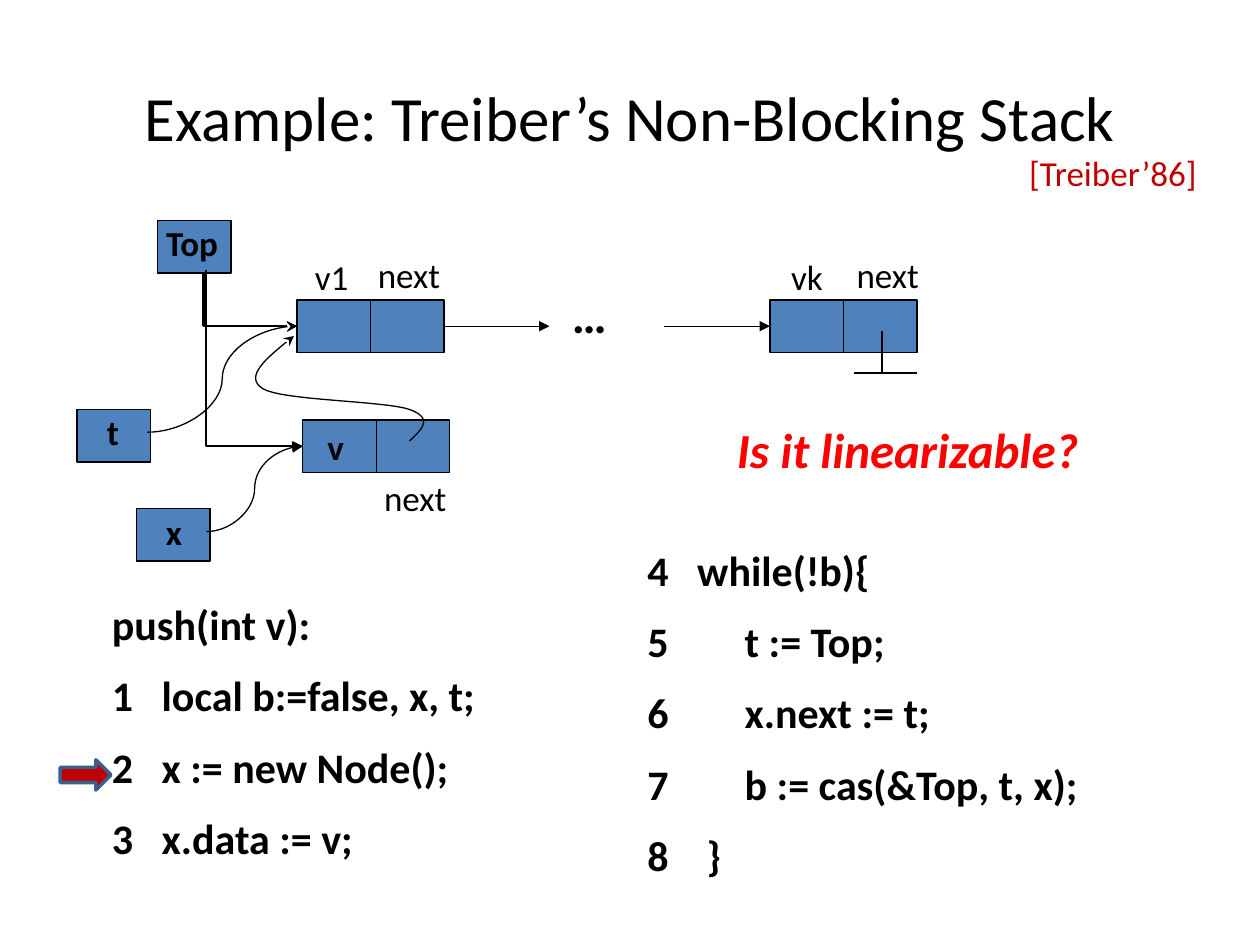
"""Build the slide on Treiber's non-blocking stack."""
from lxml.etree import SubElement
from pptx import Presentation
from pptx.dml.color import RGBColor
from pptx.enum.shapes import MSO_CONNECTOR, MSO_SHAPE
from pptx.enum.text import MSO_ANCHOR, PP_ALIGN
from pptx.oxml.ns import qn
from pptx.util import Pt

COLORS = {"black": "000000", "node": "4F81BD", "dark_red": "C00000",
          "red": "FF0000", "arrow_edge": "3A5F8C"}


def add_text(left, top, width, height, lines, color="black", wrap=True, **font_format):
    box = slide.shapes.add_textbox(Pt(left), Pt(top), Pt(width), Pt(height))
    box.text_frame.word_wrap = wrap
    for index, line in enumerate(lines):
        para = box.text_frame.paragraphs[0] if index == 0 else box.text_frame.add_paragraph()
        if index:
            para.space_before = Pt(12)
        span = para.add_run()
        span.text = line
        span.font.color.rgb = RGBColor.from_string(COLORS[color])
        for name, value in {"name": "Calibri", "size": Pt(20), **font_format}.items():
            setattr(span.font, name, value)
    return box


def style_line(shape, width, head=None, color="black"):
    shape.line.width = Pt(width)
    shape.line.color.rgb = RGBColor.from_string(COLORS[color])
    properties = shape._element.spPr
    if head:
        SubElement(properties.find(qn("a:ln")), qn("a:tailEnd"), type=head)
    if properties.find(qn("a:effectLst")) is None:
        SubElement(properties, qn("a:effectLst"))


deck = Presentation()
deck.slide_width, deck.slide_height = Pt(720), Pt(540)
slide = deck.slides.add_slide(deck.slide_layouts[6])

title = add_text(0, 21.6, 720, 90, ["Example: Treiber’s Non-Blocking Stack"], size=Pt(36))
title.text_frame.vertical_anchor = MSO_ANCHOR.MIDDLE
title.text_frame.paragraphs[0].alignment = PP_ALIGN.CENTER

cell_width, cell_height = 42, 30
for left, top, count in [(90, 126, 1), (169.8, 171.4, 2), (440, 171.4, 2),
                         (173, 240, 2), (44, 234, 1), (78, 290.7, 1)]:
    for index in range(count):
        cell = slide.shapes.add_shape(MSO_SHAPE.RECTANGLE, Pt(left + index * cell_width),
                                      Pt(top), Pt(cell_width), Pt(cell_height))
        cell.fill.solid()
        cell.fill.fore_color.rgb = RGBColor.from_string(COLORS["node"])
        style_line(cell, 0.75)

for left, top, width, label, bold in [
    (87.8, 123.1, 60, "Top", True), (172.8, 142.6, 42, "v1", False),
    (208.8, 141.1, 55, "next", False), (445, 142.6, 42, "vk", False),
    (482.4, 141.1, 65, "next", False), (212.4, 268.6, 55, "next", False),
    (54, 231.1, 30, "t", True), (87.8, 288, 30, "x", True), (180, 239.8, 30, "v", True),
]:
    add_text(left, top, width, 31, [label], bold=bold)

add_text(319.7, 159.1, 66, 41, ["…"], size=Pt(28), bold=True)
add_text(56.9, 338.4, 306.7, 167, ["push(int v):", "1   local b:=false, x, t;",
                                   "2   x := new Node();", "3   x.data := v;"],
         size=Pt(24), bold=True)
add_text(362.9, 307.4, 275, 211, ["4   while(!b){", "5        t := Top;",
                                  "6        x.next := t;",
                                  "7        b := cas(&Top, t, x);", "8    }"],
         size=Pt(24), bold=True)
add_text(414, 236.2, 218, 41, ["Is it linearizable?"], "red",
         size=Pt(28), bold=True, italic=True)
add_text(581, 82.8, 111, 31.7, ["[Treiber’86]"], "dark_red", wrap=False)

straight, curve, elbow = MSO_CONNECTOR.STRAIGHT, MSO_CONNECTOR.CURVE, MSO_CONNECTOR.ELBOW
for kind, ends, width, head in [
    (straight, (253.6, 186.4, 314, 186.4), 0.75, "triangle"),
    (straight, (379.5, 186.4, 440, 186.4), 0.75, "triangle"),
    (straight, (504, 189.4, 504, 213.2), 1.5, None),
    (straight, (488, 213.2, 524, 213.2), 1.5, None),
    (straight, (116.2, 156, 116.2, 186.4), 1.5, None),
    (straight, (116.2, 186.4, 169.8, 186.4), 1.5, "stealth"),
    (curve, (84.2, 247, 169.8, 186.4), 0.75, "stealth"),
    (curve, (118, 303.8, 173, 255), 0.75, "triangle"),
    (elbow, (195.7, 177.2, 95.2, 232.4), 1.25, "triangle"),
]:
    link = slide.shapes.add_connector(kind, *map(Pt, ends))
    style_line(link, width, head)
    if kind == elbow:
        link._element.spPr.find(qn("a:xfrm")).set("rot", "16200000")
        link._element.spPr.find(qn("a:prstGeom")).set("prst", "bentConnector2")

controls = [(234, 252), (241, 245.5), (248, 239), (234, 234), (220, 229),
            (161, 229), (150, 222), (139, 215), (153, 204), (168, 192)]
steps = 16
curve_points = []
for first in range(0, len(controls) - 1, 3):
    for step in range(1, steps + 1):
        t = step / steps
        weights = ((1 - t) ** 3, 3 * t * (1 - t) ** 2, 3 * t ** 2 * (1 - t), t ** 3)
        curve_points.append(tuple(
            Pt(sum(weight * point[axis] for weight, point in zip(weights, controls[first:first + 4])))
            for axis in (0, 1)))
builder = slide.shapes.build_freeform(Pt(controls[0][0]), Pt(controls[0][1]))
builder.add_line_segments(curve_points, close=False)
next_link = builder.convert_to_shape()
next_link.fill.background()
style_line(next_link, 0.75, "stealth")

marker = slide.shapes.add_shape(MSO_SHAPE.RIGHT_ARROW, Pt(34.4), Pt(434.2), Pt(29), Pt(17.3))
marker.fill.solid()
marker.fill.fore_color.rgb = RGBColor.from_string(COLORS["dark_red"])
style_line(marker, 2, color="arrow_edge")

deck.save("out.pptx")
